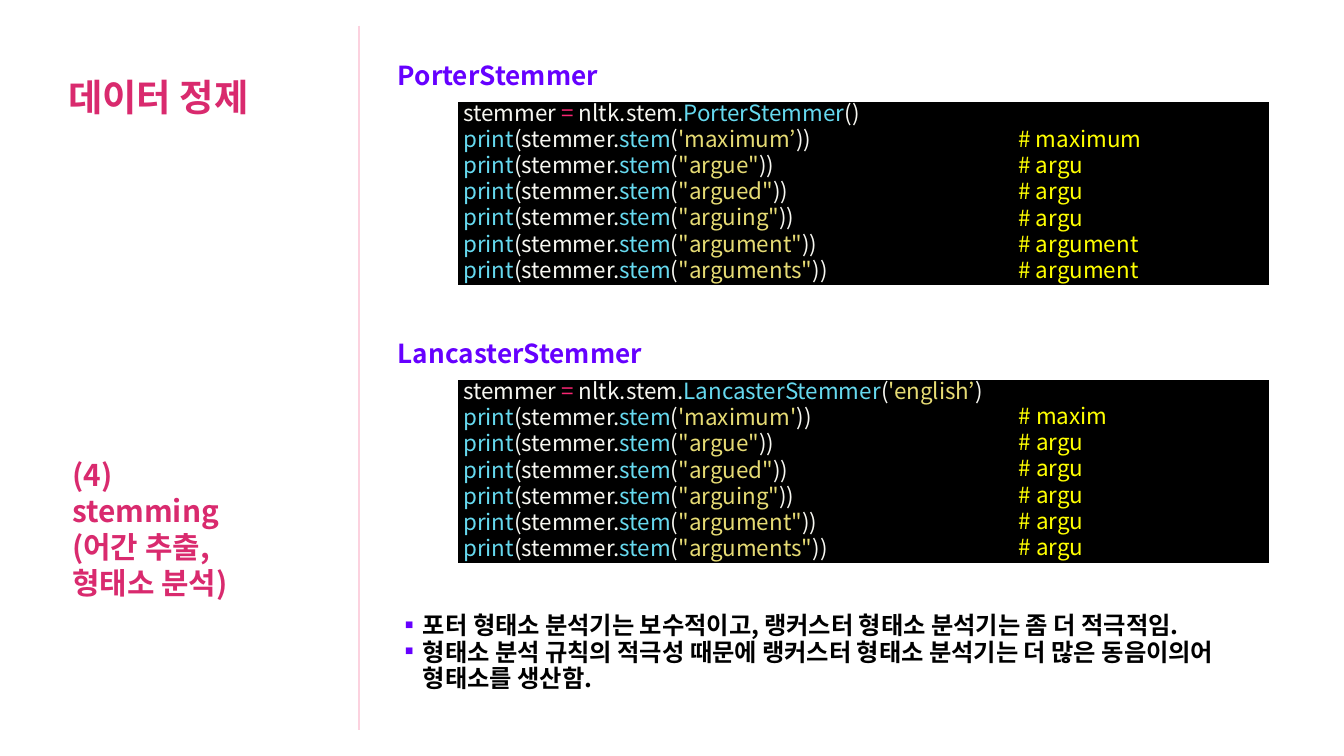
from lxml.etree import SubElement
from pptx import Presentation
from pptx.dml.color import RGBColor
from pptx.enum.shapes import MSO_CONNECTOR
from pptx.enum.text import MSO_ANCHOR, MSO_AUTO_SIZE
from pptx.oxml.ns import qn
from pptx.util import Pt

FONT = "Noto Sans CJK KR"
WHITE, BLACK, PINK, PURPLE = "FFFFFF", "000000", "D92A6E", "6600FF"
PLAIN, CYAN, RED, SAND, YELLOW = "F8F8F2", "66D9EF", "F92672", "E6DB74", "FFFF00"

TITLE = ["데이터 정제"]
TOPIC = ["(4)", "stemming", "(어간 추출,", "형태소 분석)"]
WORDS = ['"argue"', '"argued"', '"arguing"', '"argument"', '"arguments"']
PORTER = {
    "name": "PorterStemmer",
    "args": [("()", PLAIN)],
    "words": ["'maximum’"] + WORDS,
    "stems": ["maximum", "argu", "argu", "argu", "argument", "argument"],
}
LANCASTER = {
    "name": "LancasterStemmer",
    "args": [("(", PLAIN), ("'english’", SAND), (")", PLAIN)],
    "words": ["'maximum'"] + WORDS,
    "stems": ["maxim"] + ["argu"] * 5,
}
NOTES = [
    "포터 형태소 분석기는 보수적이고, 랭커스터 형태소 분석기는 좀 더 적극적임.",
    "형태소 분석 규칙의 적극성 때문에 랭커스터 형태소 분석기는 더 많은 동음이의어 형태소를 생산함.",
]
COLS = [32.4, 434.2]
ROWS = [23, 98, 51, 98, 98.6]
LEFT, TOP = 213.1, 31.5
LEAD = 14


def color(text):
    return RGBColor.from_string(text)


def style(run, size, tint, bold=False):
    font = run.font
    font.size, font.bold, font.name = Pt(size), bold, FONT
    font.color.rgb = color(tint)
    SubElement(run._r.get_or_add_rPr(), qn("a:ea"), typeface=FONT)


def write(frame, lines, size, tint, bold=False, lead=None):
    frame.text = "\n".join(lines)
    for para in frame.paragraphs:
        if lead:
            para.line_spacing = Pt(lead)
        for run in para.runs:
            style(run, size, tint, bold)


def add_text(slide, box, lines, size, tint, bold=False, lead=None, wrap=True):
    shape = slide.shapes.add_textbox(*map(Pt, box))
    frame = shape.text_frame
    frame.word_wrap = wrap
    frame.auto_size = MSO_AUTO_SIZE.SHAPE_TO_FIT_TEXT
    write(frame, lines, size, tint, bold, lead)
    return shape


def code_lines(stemmer):
    first = [("stemmer ", PLAIN), ("= ", RED), ("nltk.stem.", PLAIN), (stemmer["name"], CYAN)]
    yield first + stemmer["args"]
    for word in stemmer["words"]:
        yield [("print", CYAN), ("(stemmer.", PLAIN), ("stem", CYAN),
               ("(", PLAIN), (word, SAND), ("))", PLAIN)]


def write_code(cell, stemmer):
    cell.margin_left = Pt(2.7)
    para = cell.text_frame.paragraphs[0]
    para.line_spacing = Pt(LEAD)
    for i, line in enumerate(code_lines(stemmer)):
        if i:
            para.add_line_break()
        for text, tint in line:
            run = para.add_run()
            run.text = text
            style(run, 12, tint)


def add_bullet(para):
    props = para._p.get_or_add_pPr()
    props.set("marL", str(Pt(13.5)))
    props.set("indent", str(Pt(-13.5)))
    tint = SubElement(props, qn("a:buClr"))
    SubElement(tint, qn("a:srgbClr"), val=PURPLE)
    SubElement(props, qn("a:buFont"), typeface=FONT)
    SubElement(props, qn("a:buChar"), char="▪")


def add_grid(slide):
    box = (LEFT, TOP, sum(COLS), sum(ROWS))
    table = slide.shapes.add_table(len(ROWS), len(COLS), *map(Pt, box)).table
    table.first_row = table.horz_banding = False
    look = table._tbl.tblPr.find(qn("a:tableStyleId"))
    look.text = "{2D5ABB26-0587-4C30-8999-92F81FD0307C}"
    for col, width in zip(table.columns, COLS):
        col.width = Pt(width)
    for row, height in zip(table.rows, ROWS):
        row.height = Pt(height)
    for cell in table.iter_cells():
        cell.fill.solid()
        cell.fill.fore_color.rgb = color(WHITE)
        cell.vertical_anchor = MSO_ANCHOR.MIDDLE
        cell.margin_left = cell.margin_right = cell.margin_top = cell.margin_bottom = 0
    for i in (0, 2, 4):
        table.cell(i, 0).merge(table.cell(i, 1))
    for i, stemmer in ((0, PORTER), (2, LANCASTER)):
        write(table.cell(i, 0).text_frame, [stemmer["name"]], 14, PURPLE, True, LEAD)
        code = table.cell(i + 1, 1)
        code.fill.fore_color.rgb = color(BLACK)
        write_code(code, stemmer)
    head = table.cell(2, 0)
    head.vertical_anchor = MSO_ANCHOR.BOTTOM
    head.margin_bottom = Pt(4.5)
    foot = table.cell(4, 0)
    foot.margin_right = Pt(7.2)
    write(foot.text_frame, NOTES, 13, BLACK, True, LEAD)
    for para in foot.text_frame.paragraphs:
        add_bullet(para)


def add_rule(slide):
    ends = (192.2, 13.7, 192.2, 391)
    rule = slide.shapes.add_connector(MSO_CONNECTOR.STRAIGHT, *map(Pt, ends))
    rule.line.color.rgb = color("FCD2DF")
    rule.line.width = Pt(1)
    SubElement(rule._element.spPr, qn("a:effectLst"))


def main():
    deck = Presentation()
    deck.slide_width, deck.slide_height = Pt(720), Pt(405)
    slide = deck.slides.add_slide(deck.slide_layouts[6])
    add_grid(slide)
    add_text(slide, (29.5, 36, 126.7, 31.5), TITLE, 20, PINK, True, wrap=False)
    add_rule(slide)
    topic = add_text(slide, (31.7, 241.2, 131.8, 85), TOPIC, 16, PINK, True)
    topic.fill.solid()
    topic.fill.fore_color.rgb = color(WHITE)
    for stemmer, top, width in ((PORTER, 64, 128), (LANCASTER, 212.4, 152.6)):
        lines = ["# " + stem for stem in stemmer["stems"]]
        add_text(slide, (538.6, top, width, 92), lines, 12, YELLOW, lead=LEAD)
    deck.save("out.pptx")


if __name__ == "__main__":
    main()
